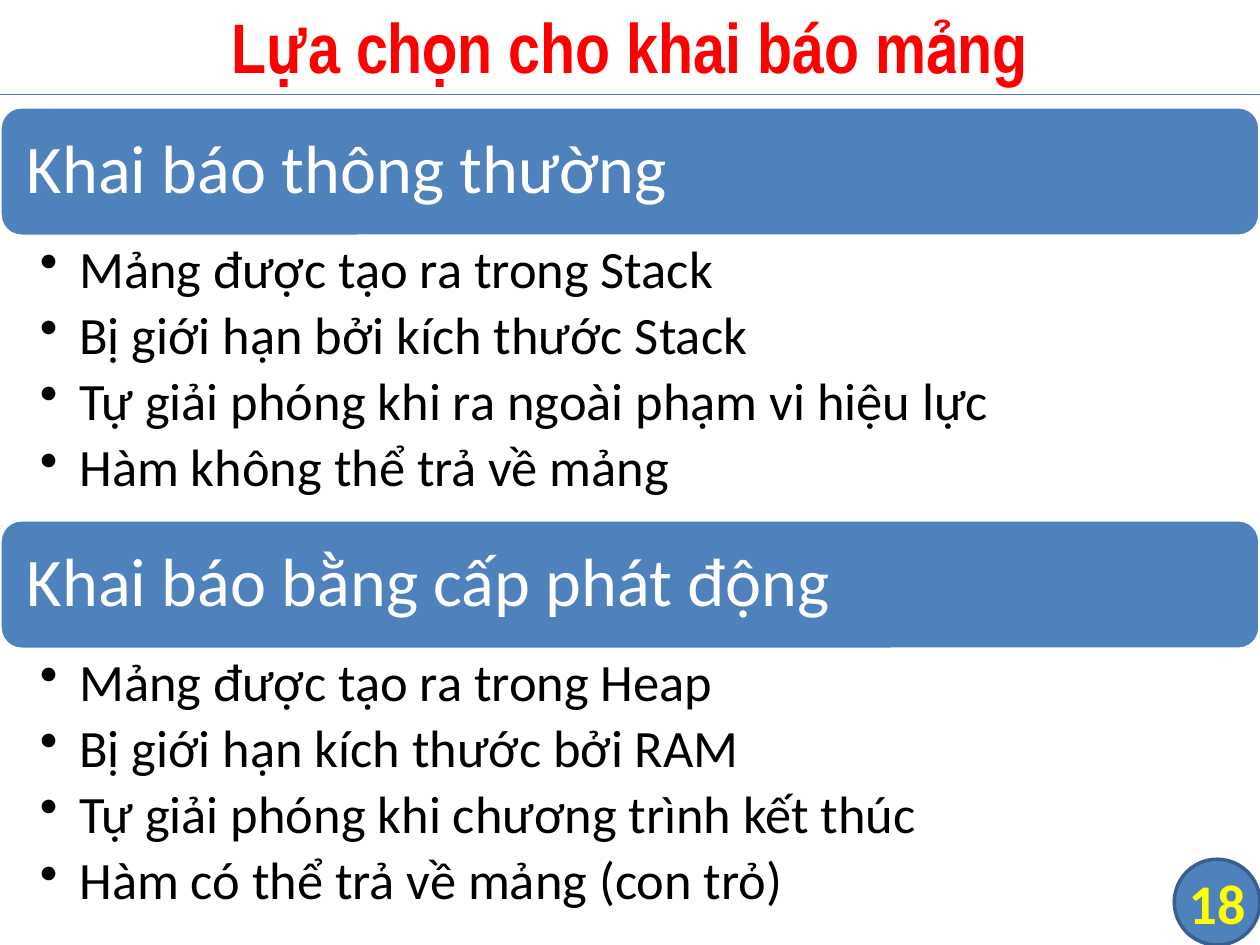
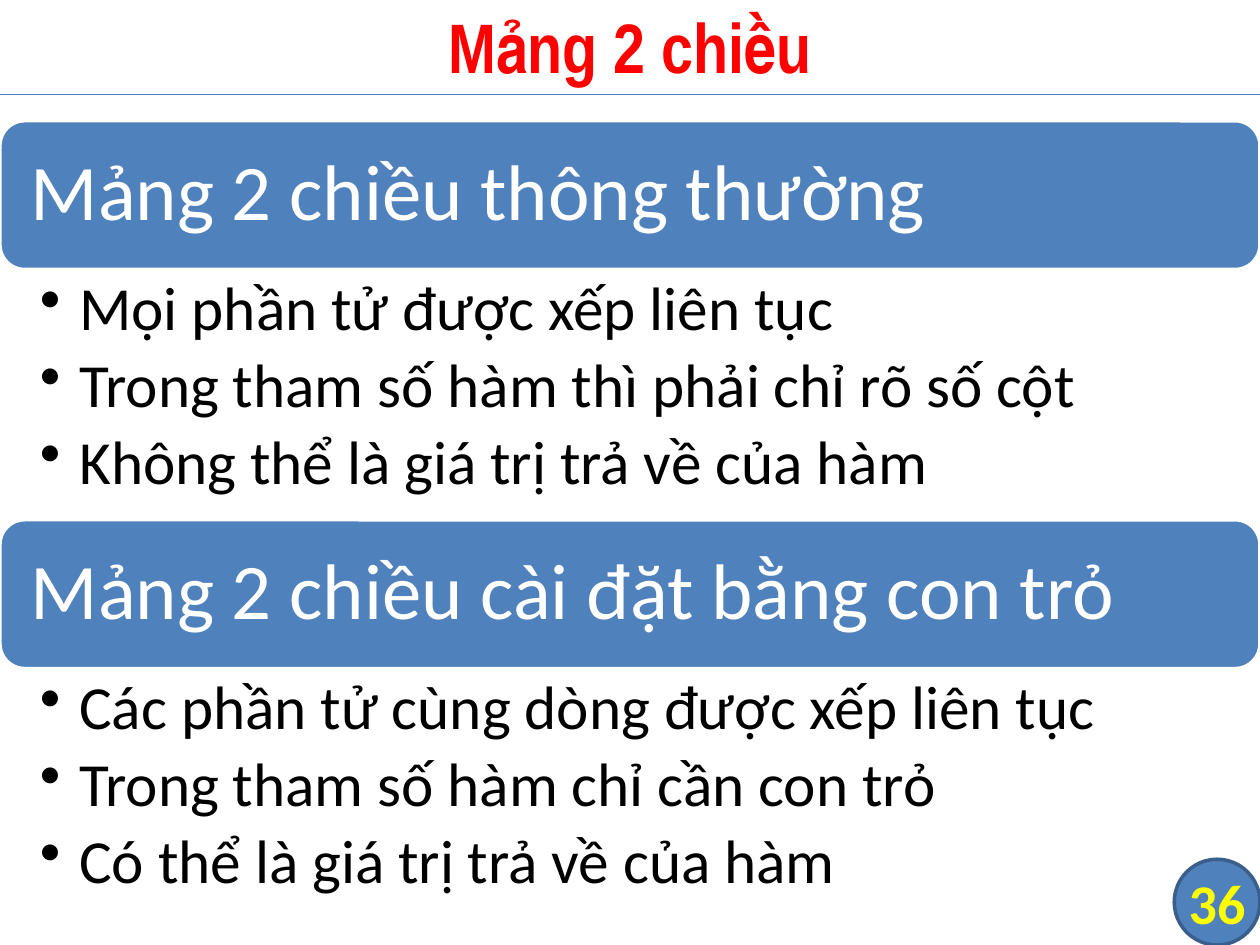
from lxml import etree
from pptx import Presentation
from pptx.dml.color import RGBColor
from pptx.enum.shapes import MSO_CONNECTOR, MSO_SHAPE
from pptx.enum.text import MSO_ANCHOR, PP_ALIGN
from pptx.oxml.ns import qn
from pptx.util import Pt

SLIDE_WIDTH, SLIDE_HEIGHT = 720, 540
TITLE_BOX = (0, -2, SLIDE_WIDTH, 56)
RULE_TOP = 54
BADGE_SIZE = 49
BADGE_BOX = (SLIDE_WIDTH - BADGE_SIZE, SLIDE_HEIGHT - BADGE_SIZE, BADGE_SIZE, BADGE_SIZE)
BULLET_INDENT = 22.5

WHITE = RGBColor(0xFF, 0xFF, 0xFF)
BLACK = RGBColor(0x00, 0x00, 0x00)
RED = RGBColor(0xFF, 0x00, 0x00)
YELLOW = RGBColor(0xFF, 0xFF, 0x00)
BLUE = RGBColor(0x4F, 0x81, 0xBD)
BADGE_LINE = RGBColor(0x3A, 0x5F, 0x8C)
RULE_BLUE = RGBColor(0x4B, 0x7E, 0xBC)

SLIDES = [
    {
        "title": "Lựa chọn cho khai báo mảng",
        "number": "18",
        "layout": {"top": 61, "heading_height": 74, "body_height": 162,
                   "heading_size": 39, "body_size": 30},
        "sections": [
            ("Khai báo thông thường", [
                "Mảng được tạo ra trong Stack",
                "Bị giới hạn bởi kích thước Stack",
                "Tự giải phóng khi ra ngoài phạm vi hiệu lực",
                "Hàm không thể trả về mảng",
            ]),
            ("Khai báo bằng cấp phát động", [
                "Mảng được tạo ra trong Heap",
                "Bị giới hạn kích thước bởi RAM",
                "Tự giải phóng khi chương trình kết thúc",
                "Hàm có thể trả về mảng (con trỏ)",
            ]),
        ],
    },
    {
        "title": "Mảng 2 chiều",
        "number": "36",
        "layout": {"top": 69, "heading_height": 85, "body_height": 143,
                   "heading_size": 45, "body_size": 35},
        "sections": [
            ("Mảng 2 chiều thông thường", [
                "Mọi phần tử được xếp liên tục",
                "Trong tham số hàm thì phải chỉ rõ số cột",
                "Không thể là giá trị trả về của hàm",
            ]),
            ("Mảng 2 chiều cài đặt bằng con trỏ", [
                "Các phần tử cùng dòng được xếp liên tục",
                "Trong tham số hàm chỉ cần con trỏ",
                "Có thể là giá trị trả về của hàm",
            ]),
        ],
    },
]


def points(box):
    return [Pt(length) for length in box]


def add_bullet(paragraph):
    paragraph.level = 1
    properties = paragraph._p.get_or_add_pPr()
    properties.set("marL", str(Pt(BULLET_INDENT)))
    properties.set("indent", str(-Pt(BULLET_INDENT)))
    etree.SubElement(properties, qn("a:buChar"), char="•")


def write_text(shape, lines, *, size, color, font="Calibri", bold=False,
               align=PP_ALIGN.LEFT, anchor=MSO_ANCHOR.MIDDLE,
               insets=(0, 0, 0, 0), line_spacing=1.0, space_after=0, bullets=False):
    """Fill a shape with one paragraph per line; insets are left, top, right, bottom."""
    frame = shape.text_frame
    frame.word_wrap = True
    frame.vertical_anchor = anchor
    (frame.margin_left, frame.margin_top,
     frame.margin_right, frame.margin_bottom) = points(insets)
    for index, line in enumerate(lines):
        paragraph = frame.add_paragraph() if index else frame.paragraphs[0]
        paragraph.alignment = align
        paragraph.line_spacing = line_spacing
        paragraph.space_after = Pt(space_after)
        if bullets:
            add_bullet(paragraph)
        run = paragraph.add_run()
        run.text = line
        run.font.name = font
        run.font.size = Pt(size)
        run.font.bold = bold
        run.font.color.rgb = color


def add_filled_shape(slide, kind, box, line_color):
    shape = slide.shapes.add_shape(kind, *points(box))
    shape.shadow.inherit = False
    shape.fill.solid()
    shape.fill.fore_color.rgb = BLUE
    shape.line.color.rgb = line_color
    shape.line.width = Pt(2)
    return shape


def add_title(slide, title):
    rule = slide.shapes.add_connector(
        MSO_CONNECTOR.STRAIGHT, *points((0, RULE_TOP, SLIDE_WIDTH, RULE_TOP)))
    rule.line.color.rgb = RULE_BLUE
    rule.line.width = Pt(0.75)
    etree.SubElement(rule._element.spPr, qn("a:effectLst"))
    write_text(slide.shapes.add_textbox(*points(TITLE_BOX)), [title], size=40,
               color=RED, font="Arial Narrow", bold=True, align=PP_ALIGN.CENTER,
               insets=(7.2, 3.6, 7.2, 3.6))


def add_number_badge(slide, number):
    add_filled_shape(slide, MSO_SHAPE.FLOWCHART_CONNECTOR, BADGE_BOX, BADGE_LINE)
    write_text(slide.shapes.add_textbox(*points(BADGE_BOX)), [number], size=32,
               color=YELLOW, bold=True, align=PP_ALIGN.CENTER)


def add_section(slide, box, heading, items, heading_height, heading_size, body_size):
    """Place a heading band at the top of the box and its bullets below."""
    left, top, width, height = box
    band = add_filled_shape(slide, MSO_SHAPE.ROUNDED_RECTANGLE,
                            (left, top, width, heading_height), WHITE)
    write_text(band, [heading], size=heading_size, color=WHITE, line_spacing=0.9,
               insets=[heading_size * 0.3] * 4)
    body = slide.shapes.add_textbox(
        *points((left, top + heading_height, width, height - heading_height)))
    padding = body_size * 0.127
    write_text(body, items, size=body_size, color=BLACK, anchor=MSO_ANCHOR.TOP,
               insets=(22.86, padding, body_size * 0.71, padding),
               line_spacing=0.9, space_after=body_size * 0.18, bullets=True)


def add_array_slide(presentation, title, number, layout, sections):
    slide = presentation.slides.add_slide(presentation.slide_layouts[6])
    section_height = layout["heading_height"] + layout["body_height"]
    for index, (heading, items) in enumerate(sections):
        box = (0, layout["top"] + index * section_height, SLIDE_WIDTH, section_height)
        add_section(slide, box, heading, items, layout["heading_height"],
                    layout["heading_size"], layout["body_size"])
    add_title(slide, title)
    add_number_badge(slide, number)


def main():
    presentation = Presentation()
    presentation.slide_width = Pt(SLIDE_WIDTH)
    presentation.slide_height = Pt(SLIDE_HEIGHT)
    for content in SLIDES:
        add_array_slide(presentation, **content)
    presentation.save("out.pptx")


if __name__ == "__main__":
    main()
